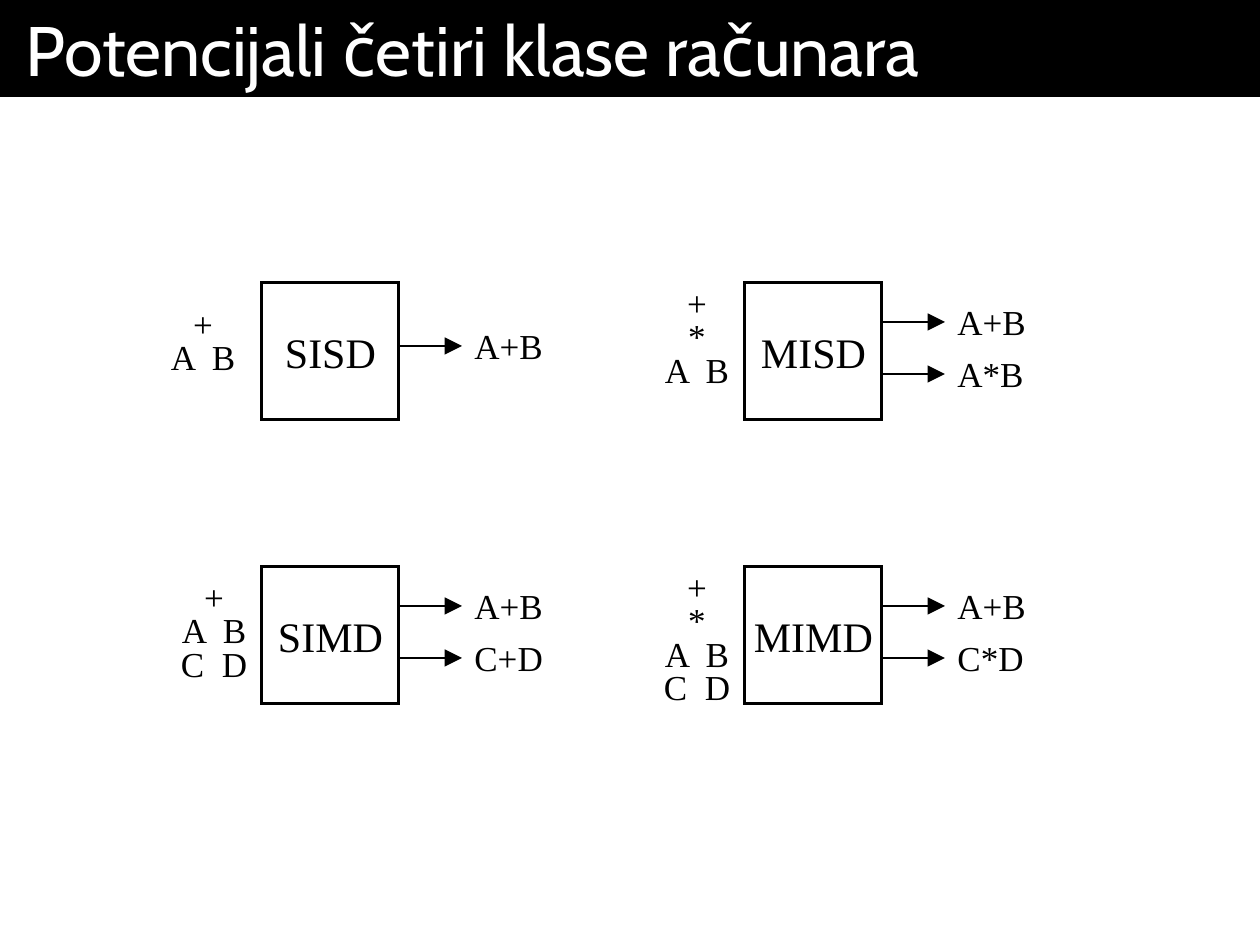
import pptx
import pptx.util
import pptx.dml.color
import pptx.enum.shapes
import pptx.enum.text
import pptx.oxml.ns
from lxml import etree

# Content: each class with its column, row, inputs and outputs
TITLE = "Potencijali četiri klase računara"
CLASSES = [
    {"name": "SISD", "col": 0, "row": 0, "inputs": ["+", "A  B"],
     "inputs_at": (157, 304), "outputs": ["A+B"]},
    {"name": "SIMD", "col": 0, "row": 1, "inputs": ["+", "A  B", "C  D"],
     "inputs_at": (168, 577), "outputs": ["A+B", "C+D"]},
    {"name": "MISD", "col": 1, "row": 0, "inputs": ["+", "*", "A  B"],
     "inputs_at": (651, 283), "outputs": ["A+B", "A*B"]},
    {"name": "MIMD", "col": 1, "row": 1, "inputs": ["+", "*", "A  B", "C  D"],
     "inputs_at": (651, 567), "outputs": ["A+B", "C*D"]},
]
COLORS = {"ink": "000000", "paper": "FFFFFF"}
TITLE_FONT, BODY_FONT = "Cabin", "Times New Roman"

# Layout in px
PX = 914400 // 126
SLIDE_W, SLIDE_H, TITLE_H = 1260, 945, 97
BOX_LEFT, BOX_TOP, BOX = (262, 745), (283, 567), 137
ARROW = 63
ARROW_DROPS = {1: [63], 2: [39, 91]}
INPUT_W, INPUT_LINE, INPUT_PAD = 92, 33, 14
OUTPUT_W, OUTPUT_H, OUTPUT_RISE = 96, 54, 28

ALIGN = pptx.enum.text.PP_ALIGN
ANCHOR = pptx.enum.text.MSO_ANCHOR
qn = pptx.oxml.ns.qn


def px(*lengths):
    return [pptx.util.Emu(length * PX) for length in lengths]


def rgb(key):
    return pptx.dml.color.RGBColor.from_string(COLORS[key])


def write(frame, lines, size, align, font=BODY_FONT, color="ink",
          spacing=None, anchor=ANCHOR.TOP, wrap=False):
    frame.text = "\n".join(lines)
    frame.word_wrap = wrap
    frame.vertical_anchor = anchor
    for paragraph in frame.paragraphs:
        paragraph.alignment = align
        paragraph.line_spacing = spacing
        for run in paragraph.runs:
            run.font.size = pptx.util.Pt(size)
            run.font.name = font
            run.font.color.rgb = rgb(color)


def draw_line(line, width, detail, **settings):
    line.color.rgb = rgb("ink")
    line.width = pptx.util.Pt(width)
    etree.SubElement(line._get_or_add_ln(), qn(detail), **settings)


def add_label(slide, place, lines, align, spacing=None):
    label = slide.shapes.add_textbox(*px(*place))
    write(label.text_frame, lines, 20, align, spacing=spacing)
    label.text_frame.auto_size = pptx.enum.text.MSO_AUTO_SIZE.SHAPE_TO_FIT_TEXT


def add_arrow(slide, x, y):
    arrow = slide.shapes.add_connector(
        pptx.enum.shapes.MSO_CONNECTOR.STRAIGHT, *px(x, y, x + ARROW, y))
    draw_line(arrow.line, 0.75, "a:tailEnd", type="triangle", w="lg", len="lg")
    etree.SubElement(arrow._element.spPr, qn("a:effectLst"))


def add_class(slide, item):
    left, top = BOX_LEFT[item["col"]], BOX_TOP[item["row"]]

    # Named box
    box = slide.shapes.add_shape(
        pptx.enum.shapes.MSO_SHAPE.RECTANGLE, *px(left, top, BOX, BOX))
    box.shadow.inherit = False
    box.fill.background()
    draw_line(box.line, 1.75, "a:miter", lim="800000")
    write(box.text_frame, [item["name"]], 24, ALIGN.CENTER, anchor=ANCHOR.MIDDLE)

    # Inputs on the left
    input_h = INPUT_PAD + INPUT_LINE * len(item["inputs"])
    add_label(slide, (*item["inputs_at"], INPUT_W, input_h), item["inputs"],
              ALIGN.CENTER, spacing=0.8)

    # Outputs on the right
    for drop, output in zip(ARROW_DROPS[len(item["outputs"])], item["outputs"]):
        add_arrow(slide, left + BOX, top + drop)
        add_label(slide, (left + BOX + ARROW, top + drop - OUTPUT_RISE,
                          OUTPUT_W, OUTPUT_H), [output], ALIGN.LEFT)


def main():
    deck = pptx.Presentation()
    deck.slide_width, deck.slide_height = px(SLIDE_W, SLIDE_H)
    slide = deck.slides.add_slide(deck.slide_layouts[5])

    # Title bar
    title = slide.shapes.title
    title.left, title.top, title.width, title.height = px(0, 0, SLIDE_W, TITLE_H)
    title.fill.solid()
    title.fill.fore_color.rgb = rgb("ink")
    frame = title.text_frame
    write(frame, [TITLE], 40, ALIGN.LEFT, TITLE_FONT, "paper",
          anchor=ANCHOR.MIDDLE, wrap=True)
    frame.auto_size = pptx.enum.text.MSO_AUTO_SIZE.NONE
    frame.margin_left = frame.margin_right = pptx.util.Inches(0.2)
    frame.margin_top = frame.margin_bottom = pptx.util.Inches(0.05)

    # Four computer classes
    for item in CLASSES:
        add_class(slide, item)
    deck.save("out.pptx")


if __name__ == "__main__":
    main()
